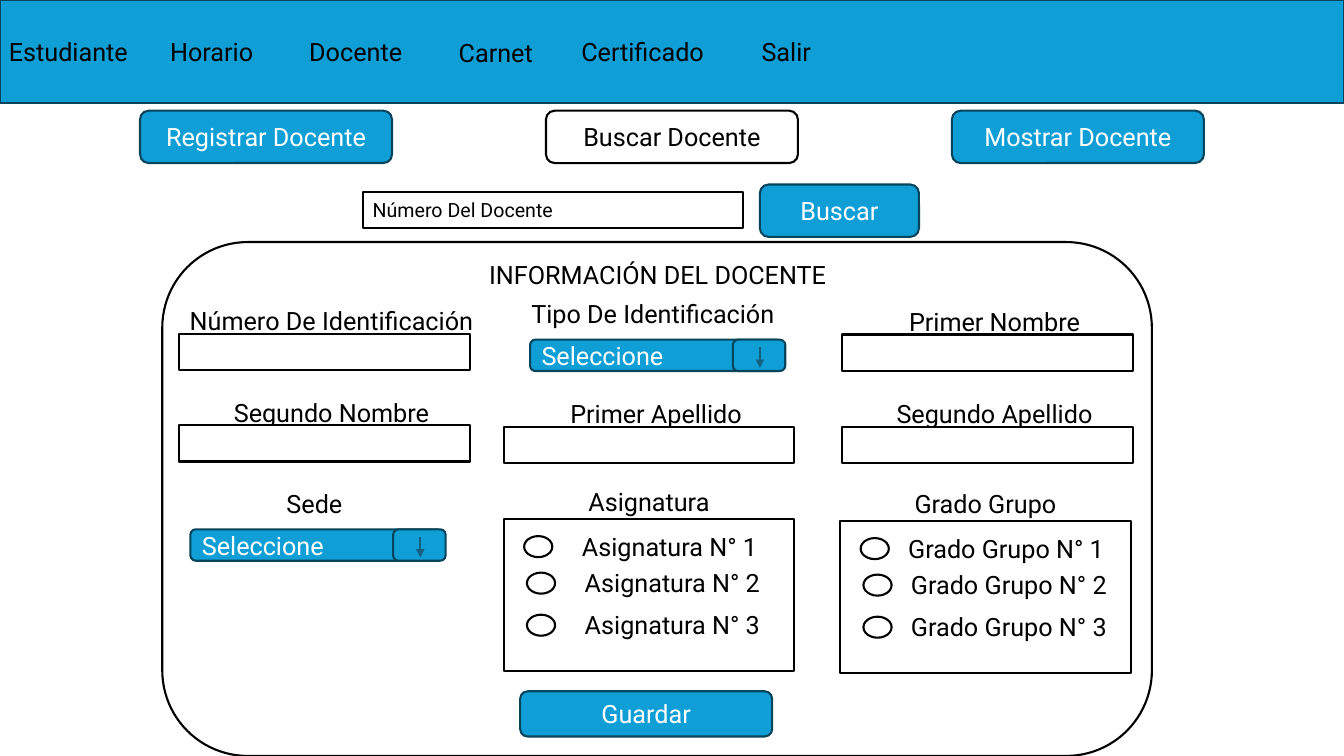
from dataclasses import dataclass

import pptx
import pptx.dml.color
import pptx.enum.shapes
import pptx.enum.text
import pptx.oxml.ns
import pptx.util
from lxml import etree

Cm = pptx.util.Cm
SHAPE = pptx.enum.shapes.MSO_SHAPE
ALIGN = pptx.enum.text.PP_ALIGN
ANCHOR = pptx.enum.text.MSO_ANCHOR
AUTO_SIZE = pptx.enum.text.MSO_AUTO_SIZE


@dataclass(frozen=True)
class Theme:
    font: str = "Roboto"
    blue: str = "0F9ED5"
    blue_edge: str = "07455D"
    arrow: str = "156082"
    white: str = "FFFFFF"
    black: str = "000000"
    text_size: int = 18
    hint_size: int = 14
    stroke: float = 1.5


THEME = Theme()
FIELD_WIDTH, FIELD_HEIGHT = 7.32, 0.91
LABEL_WIDTH = 7.67
BUTTON_WIDTH, BUTTON_HEIGHT = 6.35, 1.32


def rgb(code):
    return pptx.dml.color.RGBColor.from_string(code)


def write(frame, text, color=THEME.black, size=THEME.text_size, align=ALIGN.CENTER):
    frame.word_wrap = True
    paragraph = frame.paragraphs[0]
    paragraph.alignment = align
    run = paragraph.add_run()
    run.text = text
    run.font.name = THEME.font
    run.font.size = pptx.util.Pt(size)
    run.font.color.rgb = rgb(color)


def add_box(slide, kind, left, top, width, height, fill=THEME.white, edge=THEME.black):
    box = slide.shapes.add_shape(kind, Cm(left), Cm(top), Cm(width), Cm(height))
    box.shadow.inherit = False
    box.fill.solid()
    box.fill.fore_color.rgb = rgb(fill)
    box.line.color.rgb = rgb(edge)
    box.line.width = pptx.util.Pt(THEME.stroke)
    box.text_frame.vertical_anchor = ANCHOR.MIDDLE
    return box


def add_blue_box(slide, kind, left, top, width, height):
    return add_box(slide, kind, left, top, width, height, THEME.blue, THEME.blue_edge)


def add_button(slide, text, left, top, width=BUTTON_WIDTH, height=BUTTON_HEIGHT):
    button = add_blue_box(slide, SHAPE.ROUNDED_RECTANGLE, left, top, width, height)
    write(button.text_frame, text, THEME.white)


def add_label(slide, text, left, top, width=LABEL_WIDTH, height=FIELD_HEIGHT, align=ALIGN.CENTER):
    label = slide.shapes.add_textbox(Cm(left), Cm(top), Cm(width), Cm(height))
    write(label.text_frame, text, align=align)
    label.text_frame.auto_size = AUTO_SIZE.SHAPE_TO_FIT_TEXT


def add_field(slide, text, left, top):
    """Add a caption with an empty input box right under it."""
    add_label(slide, text, left, top)
    add_box(slide, SHAPE.RECTANGLE, left, top + 0.84, FIELD_WIDTH, FIELD_HEIGHT)


def add_down_arrow(slide, x, top, bottom):
    arrow = slide.shapes.add_connector(
        pptx.enum.shapes.MSO_CONNECTOR.STRAIGHT, Cm(x), Cm(top), Cm(x), Cm(bottom))
    arrow.line.color.rgb = rgb(THEME.arrow)
    arrow.line.width = pptx.util.Pt(THEME.stroke)
    qn = pptx.oxml.ns.qn
    etree.SubElement(arrow.line._get_or_add_ln(), qn("a:tailEnd"), type="triangle")
    etree.SubElement(arrow._element.spPr, qn("a:effectLst"))


def add_dropdown(slide, left, top):
    height = 0.79
    choice = add_blue_box(slide, SHAPE.ROUNDED_RECTANGLE, left, top, BUTTON_WIDTH, height)
    write(choice.text_frame, "Seleccione", THEME.white, align=ALIGN.LEFT)
    add_blue_box(slide, SHAPE.ROUNDED_RECTANGLE, left + 5.11, top, 1.32, height)
    add_down_arrow(slide, left + 5.79, top + 0.18, top + 0.71)


def add_option_list(slide, caption, left, top):
    """Add a captioned box with three numbered radio options."""
    add_label(slide, caption, left - 0.18, top - 0.96)
    add_box(slide, SHAPE.RECTANGLE, left, top, FIELD_WIDTH, 3.84)
    for number, (dx, dy) in enumerate([(0.51, 0.43), (0.58, 1.35), (0.58, 2.41)], 1):
        add_box(slide, SHAPE.OVAL, left + dx, top + dy, 0.71, 0.53)
        add_label(slide, f"{caption} N° {number}", left + dx + 0.73, top + dy - 0.25, 5.87)


def add_navigation(slide):
    add_blue_box(slide, SHAPE.RECTANGLE, 0, 0, 33.87, 2.59)
    for text, left, top, align in [
        ("Estudiante", -0.08, 0.79, ALIGN.CENTER),
        ("Horario", 3.53, 0.79, ALIGN.CENTER),
        ("Docente", 7.16, 0.79, ALIGN.CENTER),
        ("Carnet", 10.69, 0.82, ALIGN.CENTER),
        ("Certificado", 14.4, 0.79, ALIGN.LEFT),
        ("Salir", 18.01, 0.79, ALIGN.CENTER),
    ]:
        add_label(slide, text, left, top, 3.61, 1.02, align)


def add_tabs(slide):
    first, pitch, top = 3.53, 10.23, 2.79
    add_button(slide, "Registrar Docente", first, top)
    active = add_box(slide, SHAPE.ROUNDED_RECTANGLE, first + pitch, top, BUTTON_WIDTH, BUTTON_HEIGHT)
    write(active.text_frame, "Buscar Docente")
    add_button(slide, "Mostrar Docente", first + 2 * pitch, top)


def add_search(slide):
    search = add_box(slide, SHAPE.RECTANGLE, 9.14, 4.85, 9.58, 0.89)
    write(search.text_frame, "Número Del Docente", size=THEME.hint_size, align=ALIGN.LEFT)
    add_button(slide, "Buscar", 19.15, 4.65, 4.01)


def add_form_panel(slide):
    """Add the rounded panel and bring the slide title in front of it."""
    panel = add_box(slide, SHAPE.ROUNDED_RECTANGLE, 4.09, 6.1, 24.94, 12.95)
    title = slide.shapes.title
    title.left, title.top, title.width, title.height = Cm(5.21), Cm(6.4), Cm(22.73), Cm(0.91)
    title.text_frame.vertical_anchor = ANCHOR.TOP
    title.text_frame.auto_size = AUTO_SIZE.NONE
    write(title.text_frame, "INFORMACIÓN DEL DOCENTE")
    panel._element.addnext(title._element)


def add_form(slide):
    add_form_panel(slide)
    for text, left, top in [
        ("Número De Identificación", 4.52, 7.57),
        ("Primer Nombre", 21.23, 7.59),
        ("Segundo Nombre", 4.52, 9.88),
        ("Primer Apellido", 12.7, 9.91),
        ("Segundo Apellido", 21.23, 9.91),
    ]:
        add_field(slide, text, left, top)
    add_label(slide, "Tipo De Identificación", 12.62, 7.39)
    add_dropdown(slide, 13.36, 8.56)
    add_label(slide, "Sede", 4.09, 12.17)
    add_dropdown(slide, 4.8, 13.34)
    add_option_list(slide, "Asignatura", 12.7, 13.08)
    add_option_list(slide, "Grado Grupo", 21.18, 13.13)
    add_button(slide, "Guardar", 13.11, 17.42, height=1.14)


def main():
    deck = pptx.Presentation()
    deck.slide_width, deck.slide_height = Cm(33.87), Cm(19.05)
    slide = deck.slides.add_slide(deck.slide_layouts.get_by_name("Title Only"))
    add_navigation(slide)
    add_tabs(slide)
    add_form(slide)
    add_search(slide)
    deck.save("out.pptx")


if __name__ == "__main__":
    main()
